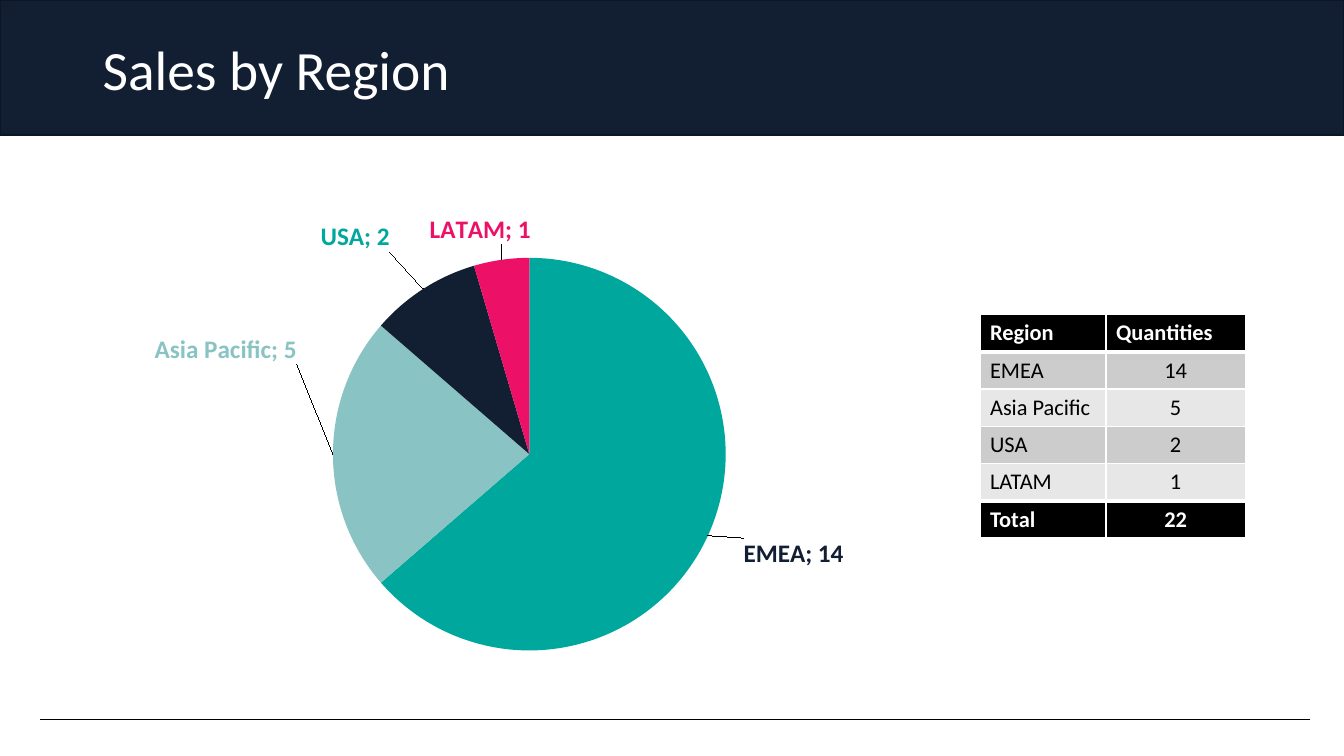
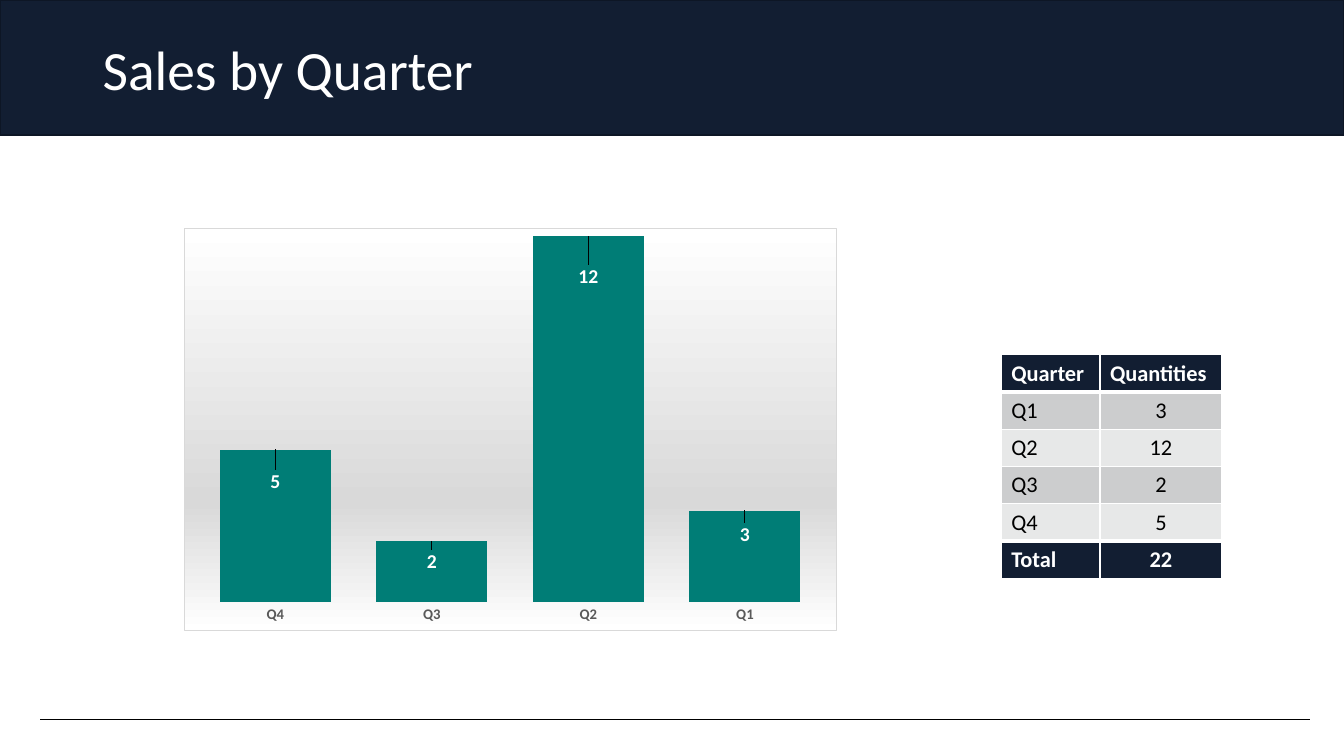
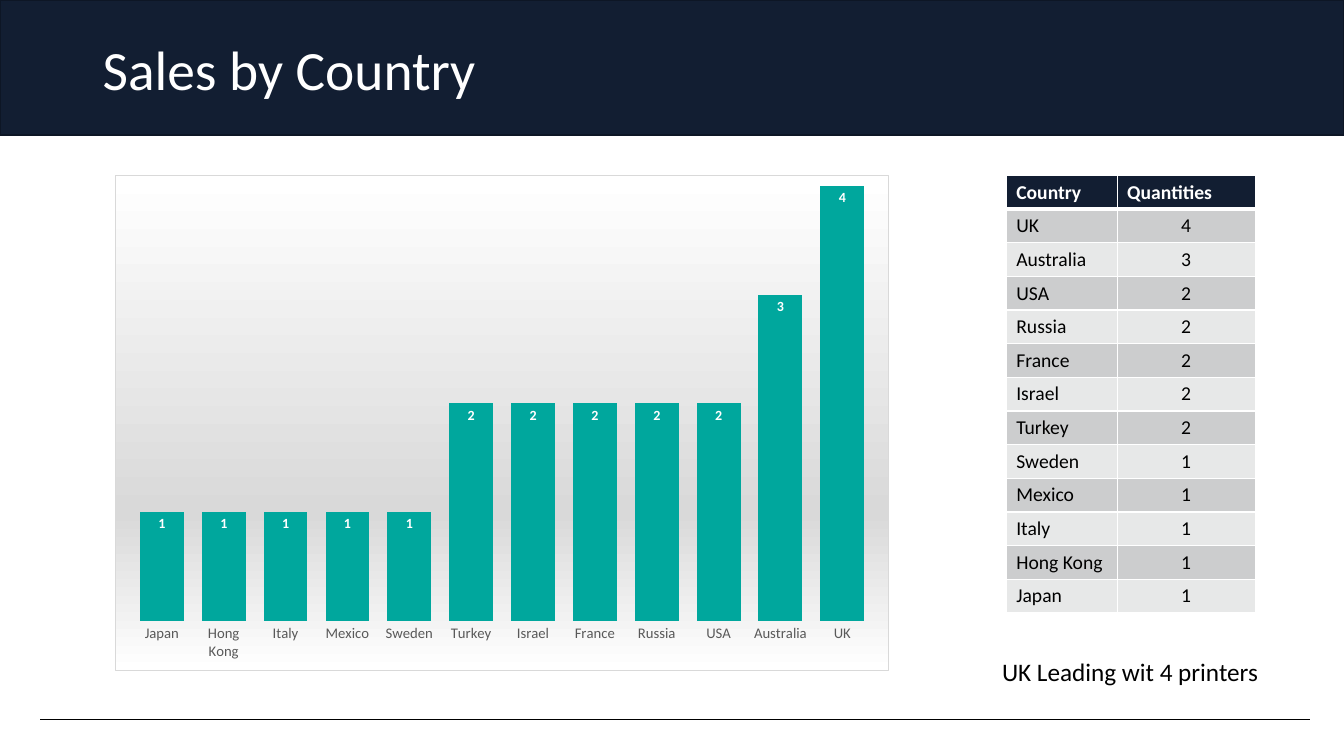
from lxml import etree
from pptx import Presentation
from pptx.chart.data import CategoryChartData
from pptx.dml.color import RGBColor
from pptx.enum.chart import XL_CHART_TYPE, XL_LABEL_POSITION, XL_TICK_MARK
from pptx.enum.shapes import MSO_CONNECTOR, MSO_SHAPE
from pptx.enum.text import MSO_ANCHOR, PP_ALIGN
from pptx.oxml import parse_xml
from pptx.oxml.ns import nsdecls, qn
from pptx.util import Inches, Pt

PIE, COLUMN = XL_CHART_TYPE.PIE, XL_CHART_TYPE.COLUMN_CLUSTERED
OUTSIDE, INSIDE = XL_LABEL_POSITION.OUTSIDE_END, XL_LABEL_POSITION.INSIDE_END
NO_TICK = XL_TICK_MARK.NONE
RECTANGLE, STRAIGHT = MSO_SHAPE.RECTANGLE, MSO_CONNECTOR.STRAIGHT
MIDDLE, BOTTOM = MSO_ANCHOR.MIDDLE, MSO_ANCHOR.BOTTOM
LEFT, CENTER = PP_ALIGN.LEFT, PP_ALIGN.CENTER

FONT = "Calibri"
WHITE, BLACK = RGBColor(255, 255, 255), RGBColor(0, 0, 0)
NAVY, NAVY_EDGE = RGBColor(0x12, 0x1E, 0x32), RGBColor(0x0D, 0x16, 0x25)
TEAL, DEEP_TEAL = RGBColor(0x00, 0xA7, 0x9D), RGBColor(0x00, 0x7D, 0x76)
PALE_TEAL, PINK = RGBColor(0x89, 0xC3, 0xC3), RGBColor(0xED, 0x10, 0x67)
AXIS_GRAY = RGBColor(0x59, 0x59, 0x59)
GRAY_BANDS = RGBColor(0xCC, 0xCC, 0xCC), RGBColor(0xE7, 0xE7, 0xE7)
COOL_BANDS = RGBColor(0xCC, 0xCD, 0xCE), RGBColor(0xE7, 0xE8, 0xE8)

# Content
REGIONS = [("EMEA", 14), ("Asia Pacific", 5), ("USA", 2), ("LATAM", 1)]
QUARTERS = [("Q1", 3), ("Q2", 12), ("Q3", 2), ("Q4", 5)]
COUNTRIES = [
    ("UK", 4), ("Australia", 3), ("USA", 2), ("Russia", 2), ("France", 2),
    ("Israel", 2), ("Turkey", 2), ("Sweden", 1), ("Mexico", 1), ("Italy", 1),
    ("Hong Kong", 1), ("Japan", 1),
]
COUNTRY_NOTE = "UK Leading wit 4 printers"

SLICE_COLORS = [TEAL, PALE_TEAL, NAVY, PINK]
SLICE_LABEL_COLORS = [NAVY, PALE_TEAL, TEAL, PINK]
# Label shifts, as shares of the chart's size
SLICE_LABEL_SHIFTS = [(0.03, 0), (-0.03, -0.23), (-0.03, -0.07), (0.03, -0.02)]
QUARTER_LABEL_SHIFTS = [(0, 0.02), (0, 0.06), (0, 0.01), (0, 0.04)]

prs = Presentation()
prs.slide_width, prs.slide_height = Inches(13.33), Inches(7.5)
BLANK = prs.slide_layouts[6]


def inches(box):
    return [Inches(length) for length in box]


def style(font, size, color, bold=False):
    font.name, font.size, font.bold = FONT, Pt(size), bold
    font.color.rgb = color


def add_text(slide, box, text, size, color):
    frame = slide.shapes.add_textbox(*inches(box)).text_frame
    frame.word_wrap = True
    paragraph = frame.paragraphs[0]
    paragraph.text = text
    style(paragraph.font, size, color)
    return frame


def new_slide(title):
    slide = prs.slides.add_slide(BLANK)
    # Footer rule
    rule = slide.shapes.add_connector(STRAIGHT, *inches((0.4, 7.14, 12.99, 7.14)))
    rule.line.color.rgb, rule.line.width = BLACK, Pt(1)
    etree.SubElement(rule.element.spPr, qn("a:effectLst"))
    # Title band
    band = slide.shapes.add_shape(RECTANGLE, 0, 0, prs.slide_width, Inches(1.34))
    band.shadow.inherit = False
    band.fill.solid()
    band.fill.fore_color.rgb = NAVY
    band.line.color.rgb, band.line.width = NAVY_EDGE, Pt(1)
    heading = add_text(slide, (0.92, 0.36, 9.78, 0.73), title, 39.6, WHITE)
    heading.vertical_anchor = MIDDLE
    heading.paragraphs[0].line_spacing = 0.9
    return slide


def set_borders(cell, top, bottom):
    properties = cell._tc.get_or_add_tcPr()
    for place, (side, width) in enumerate(
            [("L", 1), ("R", 1), ("T", top), ("B", bottom)]):
        properties.insert(place, parse_xml(
            f'<a:ln{side} {nsdecls("a")} w="{Pt(width)}"><a:solidFill>'
            f'<a:srgbClr val="{WHITE}"/></a:solidFill></a:ln{side}>'))


def add_quantities(slide, label, data, left, top, widths, row_height, size,
                   accent, bands, with_total):
    rows = [(label, "Quantities"), *data]
    if with_total:
        rows.append(("Total", sum(value for _, value in data)))
    last = len(rows) - 1
    table = slide.shapes.add_table(
        len(rows), 2, *inches((left, top, sum(widths), row_height * len(rows)))).table
    for column, width in zip(table.columns, widths):
        column.width = Inches(width)
    for r, row in enumerate(rows):
        strong = r == 0 or (with_total and r == last)
        # Thick rules below the header and above the total
        above = 3 if r == 1 or (with_total and r == last) else 1
        below = 3 if r == 0 or (with_total and r == last - 1) else 1
        for c, value in enumerate(row):
            cell = table.cell(r, c)
            cell.text, cell.vertical_anchor = str(value), BOTTOM
            cell.fill.solid()
            cell.fill.fore_color.rgb = accent if strong else bands[(r - 1) % 2]
            paragraph = cell.text_frame.paragraphs[0]
            paragraph.alignment = CENTER if c and r else LEFT
            style(paragraph.font, size, WHITE if strong else BLACK, strong)
            set_borders(cell, above, below)


def manual_layout(x, y, w=None, h=None):
    target, modes, size = "", "", ""
    if w:
        target = '<c:layoutTarget val="inner"/>'
        modes = '<c:xMode val="edge"/><c:yMode val="edge"/>'
        size = f'<c:w val="{w}"/><c:h val="{h}"/>'
    return parse_xml(
        f'<c:layout {nsdecls("c")}><c:manualLayout>{target}{modes}'
        f'<c:x val="{x}"/><c:y val="{y}"/>{size}</c:manualLayout></c:layout>')


def add_chart(slide, kind, box, data, plot_area):
    chart_data = CategoryChartData()
    chart_data.categories = [name for name, _ in data]
    chart_data.add_series("Series 1", [value for _, value in data])
    chart = slide.shapes.add_chart(kind, *inches(box), chart_data).chart
    chart.has_title = chart.has_legend = False
    style(chart.font, 10, BLACK)
    area = chart.element.find(".//" + qn("c:plotArea"))
    for old in area.findall(qn("c:layout")):
        area.remove(old)
    area.insert(0, manual_layout(*plot_area))
    return chart


def label_values(series, size, color, position):
    labels = series.data_labels
    labels.show_value, labels.position = True, position
    style(labels.font, size, color, True)
    return labels


def shift_labels(chart, shifts):
    for label, shift in zip(chart.element.iter(qn("c:dLbl")), shifts):
        label.find(qn("c:idx")).addnext(manual_layout(*shift))


def add_columns(slide, box, data, plot_height, color, label_size, bold_axis):
    chart = add_chart(slide, COLUMN, box, data, (0.02, 0.02, 0.96, plot_height))
    plot = chart.plots[0]
    plot.gap_width, plot.vary_by_categories = 41, False
    series = plot.series[0]
    series.format.fill.solid()
    series.format.fill.fore_color.rgb = color
    label_values(series, label_size, WHITE, INSIDE)
    # Axes
    names, values = chart.category_axis, chart.value_axis
    names.reverse_order = True
    names.major_tick_mark = names.minor_tick_mark = NO_TICK
    names.format.line.fill.background()
    style(names.tick_labels.font, 10.5, AXIS_GRAY, bold_axis)
    values.has_major_gridlines = values.visible = False
    values.minimum_scale = 0
    values.maximum_scale = max(value for _, value in data)
    # Chart background
    stops = "".join(
        f'<a:gs pos="{share * 1000}"><a:srgbClr val="{tone}"/></a:gs>'
        for share, tone in [(0, "FFFFFF"), (68, "D9D9D9"), (100, "FFFFFF")])
    chart.element.find(qn("c:chart")).addnext(parse_xml(
        f'<c:spPr {nsdecls("c", "a")}><a:gradFill><a:gsLst>{stops}</a:gsLst>'
        f'<a:lin ang="5400000" scaled="0"/></a:gradFill><a:ln w="{Pt(0.75)}">'
        '<a:solidFill><a:srgbClr val="D9D9D9"/></a:solidFill></a:ln></c:spPr>'))
    return chart


# Sales by region
slide = new_slide("Sales by Region")
region_chart = add_chart(slide, PIE, (0, 2.06, 10, 4.53), REGIONS,
                         (0.33, 0.11, 0.39, 0.86))
region_chart.plots[0].vary_by_categories = True
slices = region_chart.plots[0].series[0]
label_values(slices, 18, NAVY, OUTSIDE).show_category_name = True
for i, (color, label_color) in enumerate(zip(SLICE_COLORS, SLICE_LABEL_COLORS)):
    point = slices.points[i]
    point.format.fill.solid()
    point.format.fill.fore_color.rgb = color
    style(point.data_label.font, 18, label_color, True)
    point.data_label.position = OUTSIDE
for label in region_chart.element.iter(qn("c:dLbl"), qn("c:dLbls")):
    label.find(qn("c:showCatName")).set("val", "1")
    label.find(qn("c:showBubbleSize")).addnext(
        parse_xml(f'<c:separator {nsdecls("c")}>; </c:separator>'))
shift_labels(region_chart, SLICE_LABEL_SHIFTS)
add_quantities(slide, "Region", REGIONS, 9.72, 3.12, (1.25, 1.38), 0.37, 16,
               BLACK, GRAY_BANDS, True)

# Sales by quarter
slide = new_slide("Sales by Quarter")
quarter_chart = add_columns(slide, (1.82, 2.26, 6.48, 4), QUARTERS, 0.91,
                            DEEP_TEAL, 14, True)
bars = quarter_chart.plots[0].series[0]
for i in range(len(QUARTERS)):
    bar_label = bars.points[i].data_label
    style(bar_label.font, 14, WHITE, True)
    bar_label.position = INSIDE
shift_labels(quarter_chart, QUARTER_LABEL_SHIFTS)
add_quantities(slide, "Quarter", QUARTERS, 9.93, 3.52, (0.98, 1.21), 0.37, 16,
               NAVY, COOL_BANDS, True)

# Sales by country
slide = new_slide("Sales by Country")
add_text(slide, (9.84, 6.46, 3.3, 0.4), COUNTRY_NOTE, 18, BLACK)
add_quantities(slide, "Country", COUNTRIES, 9.98, 1.74, (1.1, 1.37), 0.33, 14,
               NAVY, COOL_BANDS, False)
country_chart = add_columns(slide, (1.14, 1.74, 7.68, 4.92), COUNTRIES, 0.88,
                            TEAL, 10, False)
country_chart.value_axis.major_unit = 1

prs.save("out.pptx")
